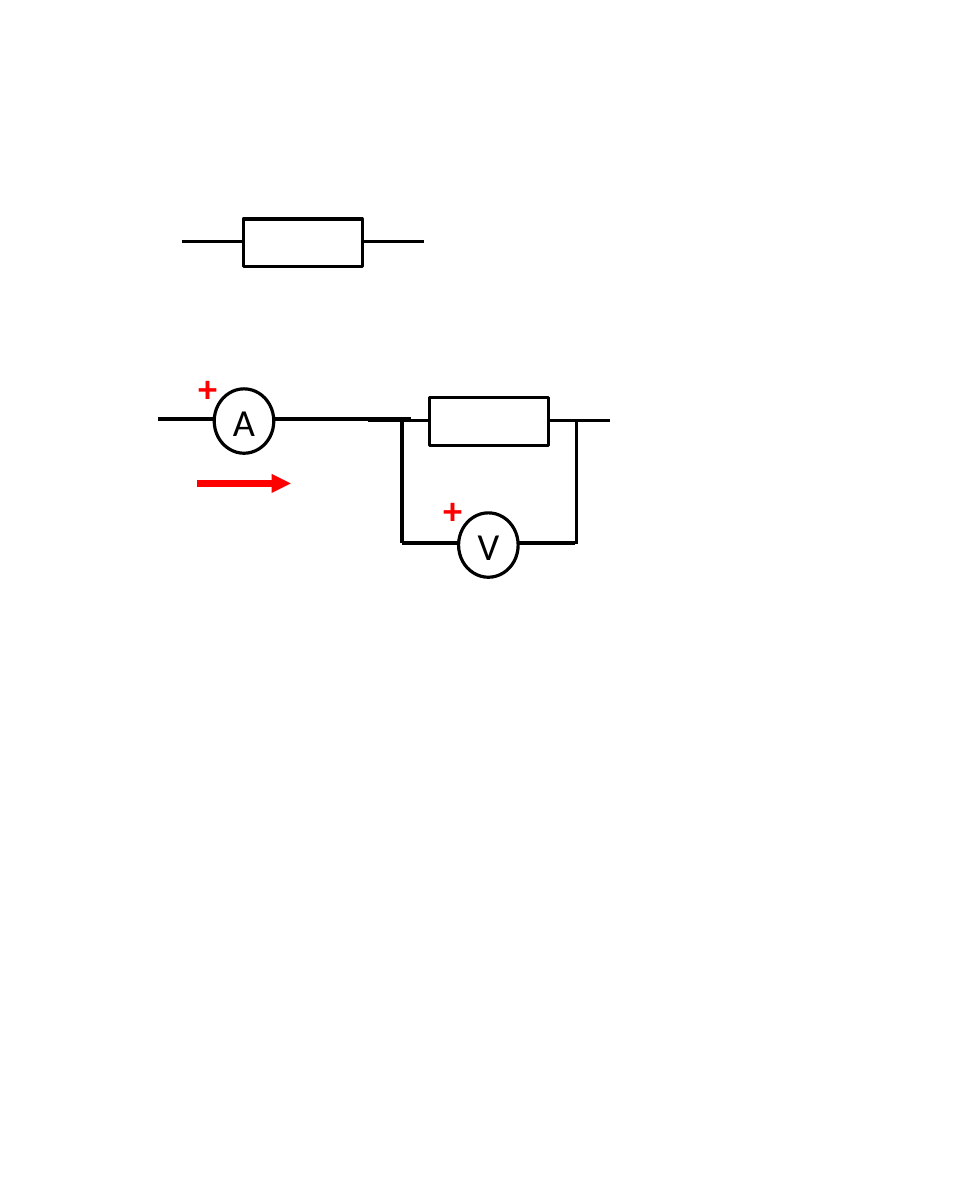
from lxml.etree import SubElement
from pptx import Presentation
from pptx.dml.color import RGBColor
from pptx.enum.shapes import MSO_CONNECTOR, MSO_SHAPE
from pptx.enum.text import MSO_ANCHOR, MSO_AUTO_SIZE, PP_ALIGN
from pptx.oxml.ns import qn
from pptx.util import Cm, Pt

# Content, in centimetres
BLACK, RED = "000000", "FF0000"
RESISTORS = [(4.04, 4.01), (7.14, 6.98)]  # left edge, wire height
METERS = [("A", 3.56, 6.96), ("V", 7.62, 9.02)]  # letter, left edge, wire height
WIRES = [
    (4.8, 6.96, 6.83, 6.96),  # ammeter to resistor
    (6.68, 6.98, 6.68, 9.02),  # voltmeter, left branch
    (9.58, 7.01, 9.58, 9.04),  # voltmeter, right branch
]
CURRENT = (3.28, 8.03, 4.83, 8.03)
PLUS_CENTRES = [(3.45, 6.43), (7.52, 8.46)]

RESISTOR_SIZE, RESISTOR_LEAD, RESISTOR_RISE = (1.98, 0.79), 1.02, 0.37
METER_SIZE, METER_LEAD, METER_RISE = (0.99, 1.07), 0.94, 0.5
LABEL_SIZE = (0.9, 1.02)


def colour(value):
    return RGBColor.from_string(value)


def add_line(shapes, x1, y1, x2, y2, line_colour=BLACK, width=1.5):
    line = shapes.add_connector(MSO_CONNECTOR.STRAIGHT, Cm(x1), Cm(y1), Cm(x2), Cm(y2))
    line.line.color.rgb = colour(line_colour)
    line.line.width = Pt(width)
    SubElement(line._element.spPr, qn("a:effectLst"))
    return line


def add_component(shapes, kind, left, wire, size, lead, rise):
    """Outline with a lead on each side, grouped."""
    width, height = size
    group = shapes.add_group_shape()
    body = group.shapes.add_shape(kind, Cm(left), Cm(wire - rise), Cm(width), Cm(height))
    body.shadow.inherit = False
    body.fill.background()
    body.line.color.rgb = colour(BLACK)
    body.line.width = Pt(1.5)
    for start, end in ((left - lead, left), (left + width, left + width + lead)):
        add_line(group.shapes, start, wire, end, wire)
    return group


def add_label(shapes, text, centre_x, centre_y, text_colour=BLACK, bold=False):
    width, height = LABEL_SIZE
    box = shapes.add_textbox(
        Cm(centre_x - width / 2), Cm(centre_y - height / 2), Cm(width), Cm(height)
    )
    frame = box.text_frame
    frame.word_wrap = False
    frame.auto_size = MSO_AUTO_SIZE.NONE
    frame.vertical_anchor = MSO_ANCHOR.MIDDLE
    paragraph = frame.paragraphs[0]
    paragraph.alignment = PP_ALIGN.CENTER
    run = paragraph.add_run()
    run.text = text
    run.font.name = "Calibri"
    run.font.size = Pt(18)
    run.font.bold = bold
    run.font.color.rgb = colour(text_colour)


def main():
    presentation = Presentation()
    presentation.slide_width, presentation.slide_height = Cm(16), Cm(20)
    slide = presentation.slides.add_slide(presentation.slide_layouts[6])
    shapes = slide.shapes

    # Resistors
    for left, wire in RESISTORS:
        add_component(shapes, MSO_SHAPE.RECTANGLE, left, wire,
                      RESISTOR_SIZE, RESISTOR_LEAD, RESISTOR_RISE)

    # Wires
    for wire in WIRES:
        add_line(shapes, *wire)

    # Meters with their letters
    for letter, left, wire in METERS:
        group = add_component(shapes, MSO_SHAPE.OVAL, left, wire,
                              METER_SIZE, METER_LEAD, METER_RISE)
        width, height = METER_SIZE
        add_label(group.shapes, letter, left + width / 2, wire - METER_RISE + height / 2)

    # Current arrow
    arrow = add_line(shapes, *CURRENT, RED, 3)
    SubElement(arrow.line._get_or_add_ln(), qn("a:tailEnd"), type="triangle")

    # Polarity signs
    for centre_x, centre_y in PLUS_CENTRES:
        add_label(shapes, "+", centre_x, centre_y, RED, True)

    presentation.save("out.pptx")


if __name__ == "__main__":
    main()
